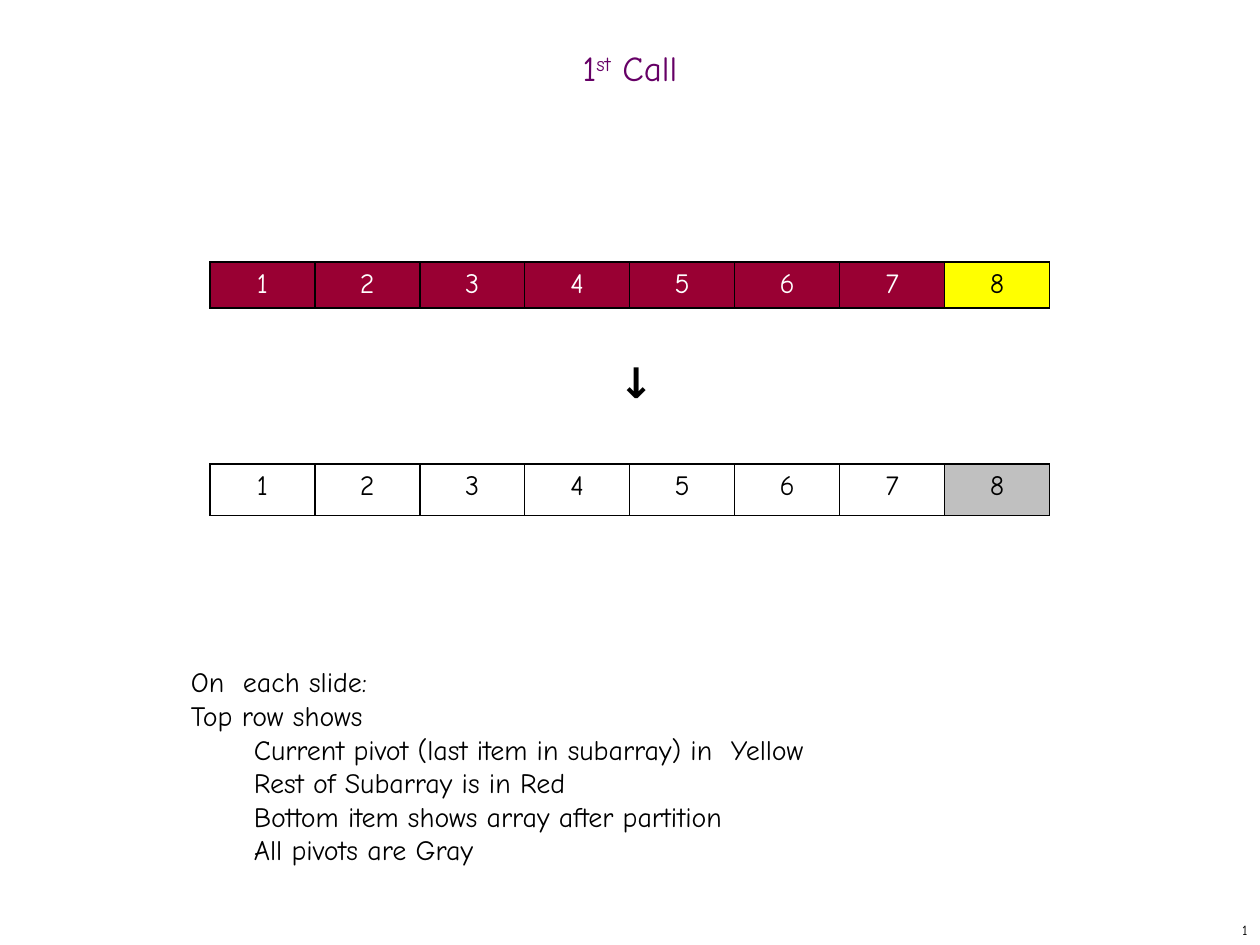
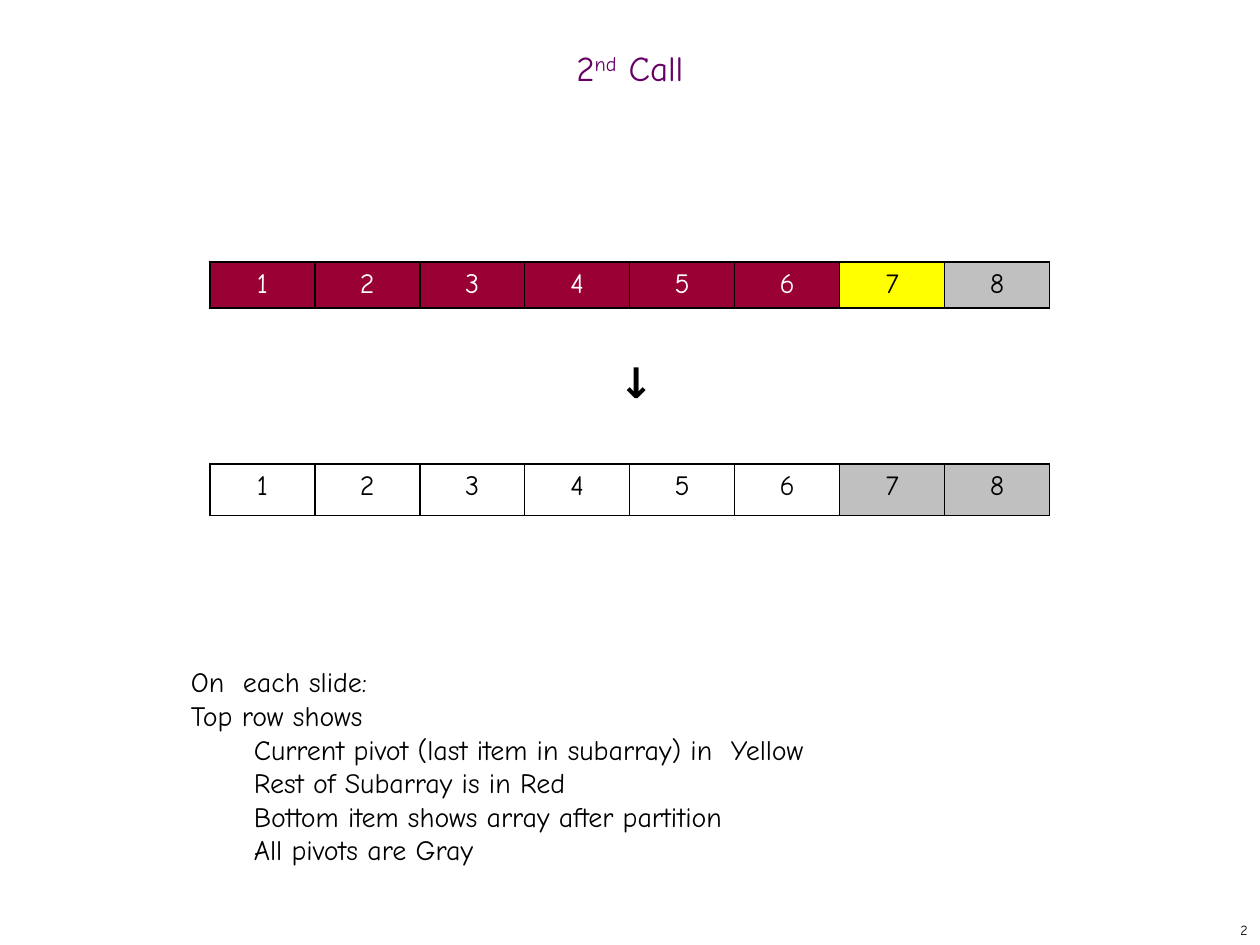
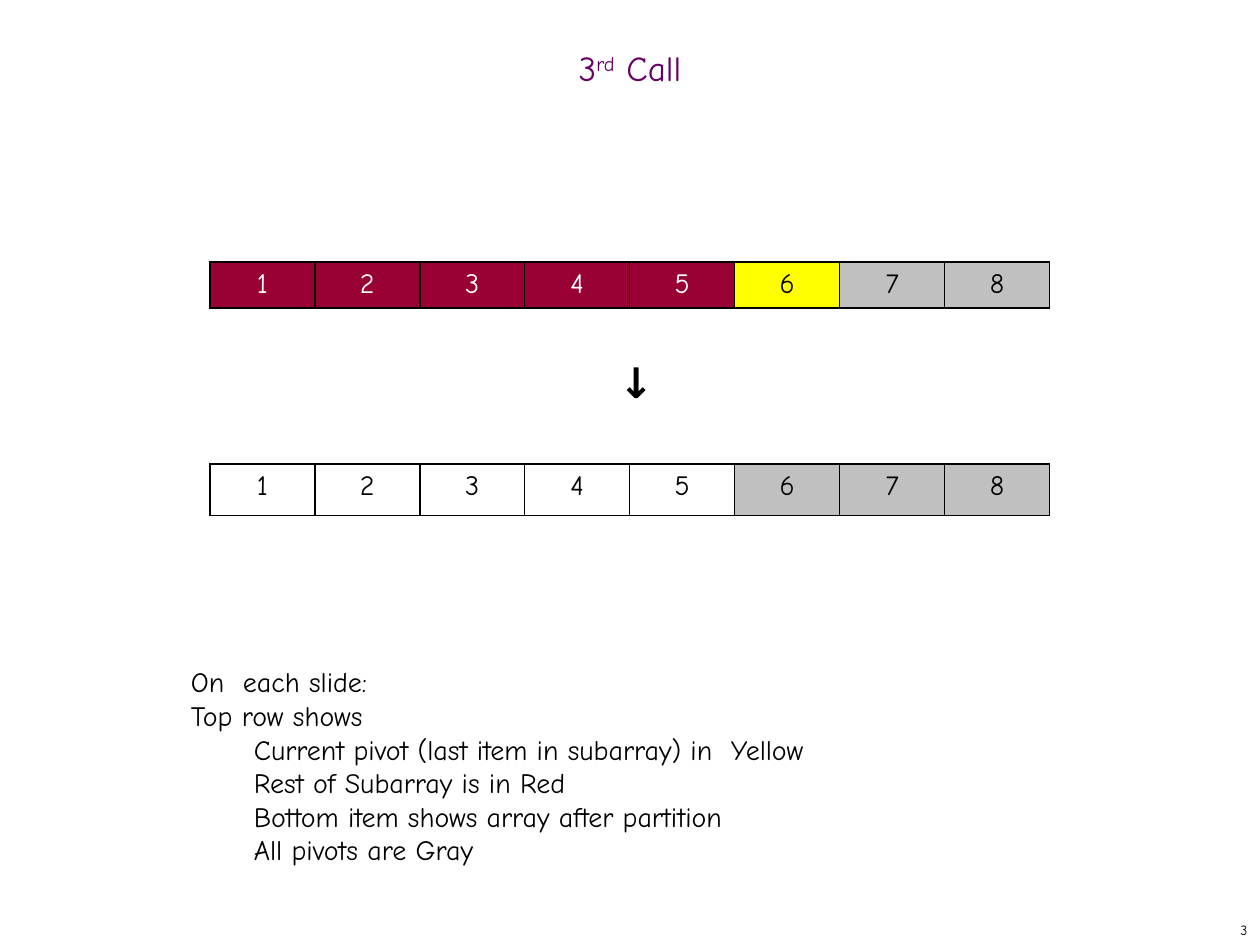
"""Build three slides that follow quicksort calls on a sorted array."""
from dataclasses import dataclass

from lxml.etree import SubElement
from pptx import Presentation
from pptx.dml.color import RGBColor as RGB
from pptx.enum.text import MSO_ANCHOR as ANCHOR, PP_ALIGN as ALIGN
from pptx.oxml.ns import qn
from pptx.util import Cm, Pt


@dataclass(frozen=True)
class Theme:
    font: str = "Comic Neue"
    black: RGB = RGB(0x00, 0x00, 0x00)
    white: RGB = RGB(0xFF, 0xFF, 0xFF)
    purple: RGB = RGB(0x66, 0x00, 0x66)
    red: RGB = RGB(0x99, 0x00, 0x33)
    yellow: RGB = RGB(0xFF, 0xFF, 0x00)
    gray: RGB = RGB(0xC0, 0xC0, 0xC0)
    title: int = 20
    arrow: int = 24
    body: int = 16
    number: int = 8


theme = Theme()
ITEMS = 8
SUFFIXES = ["st", "nd", "rd"]
NOTES = [
    ("On  each slide:", 0),
    ("Top row shows", 0),
    ("Current pivot (last item in subarray) in  Yellow", 1),
    ("Rest of Subarray is in Red", 1),
    ("Bottom item shows array after partition", 1),
    ("All pivots are Gray", 1),
]


def add_text(s, box, lines, size, color=theme.black, align=ALIGN.LEFT, anchor=ANCHOR.TOP):
    tf = s.shapes.add_textbox(*map(Cm, box)).text_frame
    tf.word_wrap = True
    tf.vertical_anchor = anchor
    tf.text = "\n".join(lines)
    for p in tf.paragraphs:
        p.alignment = align
        for r in p.runs:
            r.font.name, r.font.size, r.font.color.rgb = theme.font, Pt(size), color
    return tf


def add_array(s, top, height, colors):
    table = s.shapes.add_table(1, ITEMS, Cm(4.23), Cm(top), Cm(16.93), Cm(height)).table
    table.first_row = table.horz_banding = False
    for i, (fill, color) in enumerate(colors):
        cell = table.cell(0, i)
        for side in ("a:lnL", "a:lnR", "a:lnT", "a:lnB"):
            ln = SubElement(cell._tc.get_or_add_tcPr(), qn(side), w=str(Pt(1)))
            SubElement(SubElement(ln, qn("a:solidFill")), qn("a:srgbClr"), val=str(theme.black))
        if fill is None:
            cell.fill.background()
        else:
            cell.fill.solid()
            cell.fill.fore_color.rgb = fill
        cell.text = str(i + 1)
        p = cell.text_frame.paragraphs[0]
        p.alignment = ALIGN.CENTER
        font = p.runs[0].font
        font.name, font.size, font.color.rgb = theme.font, Pt(theme.body), color


prs = Presentation()
prs.slide_width, prs.slide_height = Cm(25.4), Cm(19.05)

for call, suffix in enumerate(SUFFIXES, 1):
    s = prs.slides.add_slide(prs.slide_layouts[6])
    pivot = ITEMS - call

    tf = add_text(s, (0, 0.84, 25.4, 1.27), [str(call)], theme.title, theme.purple,
                  ALIGN.CENTER, ANCHOR.MIDDLE)
    p = tf.paragraphs[0]
    p.line_spacing = 0.7
    for text in (suffix, " Call"):
        r = p.add_run()
        r.text = text
        r.font.name, r.font.size, r.font.color.rgb = theme.font, Pt(theme.title), theme.purple
    p.runs[1]._r.get_or_add_rPr().set("baseline", "30000")

    tf = add_text(s, (20.12, 18.42, 5.28, 0.64), [str(call)], theme.number,
                  align=ALIGN.RIGHT, anchor=ANCHOR.MIDDLE)
    field = tf.paragraphs[0].runs[0]._r
    field.tag = qn("a:fld")
    field.set("id", "{B6F15528-21DE-4FAA-801E-634DDDAF4B2B}")
    field.set("type", "slidenum")

    tf = add_text(s, (12.22, 7.06, 0.94, 1.27), ["↓"], theme.arrow)
    tf.word_wrap = False
    tf.paragraphs[0].runs[0].font.bold = True

    tf = add_text(s, (3.6, 13.28, 20.3, 4.37), [text for text, level in NOTES], theme.body)
    for p, (text, level) in zip(tf.paragraphs, NOTES):
        p.level = level
        p._p.get_or_add_pPr().set("marL", str(Cm(1.27 * level)))

    done = [(theme.gray, theme.black)]
    add_array(s, 9.35, 1.04, [(None, theme.black)] * pivot + done * call)
    add_array(s, 5.28, 0.93, [(theme.red, theme.white)] * pivot
              + [(theme.yellow, theme.black)] + done * (call - 1))

prs.save("out.pptx")
